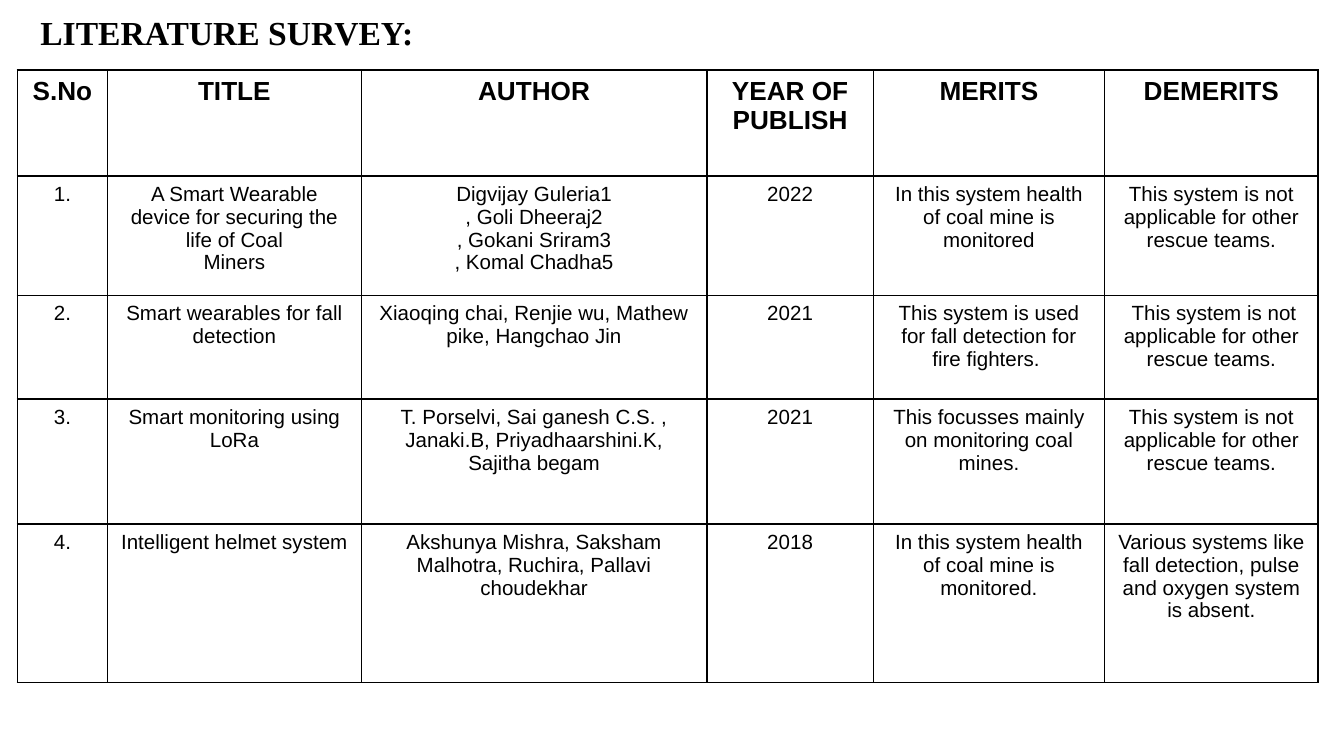
from dataclasses import dataclass

from lxml.etree import SubElement
from pptx import Presentation
from pptx.dml.color import RGBColor
from pptx.enum.text import MSO_ANCHOR as Anchor, MSO_AUTO_SIZE as AutoSize, PP_ALIGN as Align
from pptx.oxml.ns import qn
from pptx.util import Inches, Pt


@dataclass(frozen=True)
class Theme:
    ink: RGBColor = RGBColor(0, 0, 0)
    paper: RGBColor = RGBColor(255, 255, 255)
    title_font: str = "Times New Roman"
    table_font: str = "Arial"
    title_size: int = 18
    header_size: int = 14
    body_size: int = 11
    border: int = 1


THEME = Theme()
GRID_COLUMNS = 1000
SLIDE_WIDTH = Inches(10)
SLIDE_HEIGHT = SLIDE_WIDTH * 9 // 16
COLUMN_SPANS = [67, 189, 257, 124, 172, 159]
ROW_SPANS = [79, 89, 77, 93, 118]
NOT_APPLICABLE = "This system is not applicable for other rescue teams."
SURVEY = [
    ["S.No", "TITLE", "AUTHOR", "YEAR OF PUBLISH", "MERITS", "DEMERITS"],
    [
        "1.",
        "A Smart Wearable device for securing the life of Coal\nMiners",
        "Digvijay Guleria1\n, Goli Dheeraj2\n, Gokani Sriram3\n, Komal Chadha5",
        "2022",
        "In this system health of coal mine is monitored",
        NOT_APPLICABLE,
    ],
    [
        "2.",
        "Smart wearables for fall detection",
        "Xiaoqing chai, Renjie wu, Mathew pike, Hangchao Jin",
        "2021",
        "This system is used for fall detection for fire fighters. ",
        " " + NOT_APPLICABLE,
    ],
    [
        "3.",
        "Smart monitoring using LoRa",
        "T. Porselvi, Sai ganesh C.S. , Janaki.B, Priyadhaarshini.K, Sajitha begam",
        "2021",
        "This focusses mainly on monitoring coal mines.",
        NOT_APPLICABLE,
    ],
    [
        "4.",
        "Intelligent helmet system",
        "Akshunya Mishra, Saksham Malhotra, Ruchira, Pallavi choudekhar",
        "2018",
        "In this system health of coal mine is monitored.",
        "Various systems like fall detection, pulse and oxygen system is absent.",
    ],
]


def grid(units):
    return SLIDE_WIDTH * units // GRID_COLUMNS


def area(*units):
    return [grid(unit) for unit in units]


def apply(target, formats):
    for name, value in formats.items():
        setattr(target, name, value)


def write(frame, text, font, para_formats):
    frame.text = text
    for para in frame.paragraphs:
        apply(para, para_formats)
        for span in para.runs:
            apply(span.font, font)
            span.font.color.rgb = THEME.ink


def add_title(page, text):
    title = page.shapes.title
    apply(title, dict(zip(["left", "top", "width", "height"], area(20, 0, 862, 52))))
    frame = title.text_frame
    apply(frame, {"auto_size": AutoSize.NONE, "vertical_anchor": Anchor.MIDDLE, "word_wrap": True})
    font = {"name": THEME.title_font, "size": Pt(THEME.title_size), "bold": True}
    write(frame, text, font, {"alignment": Align.LEFT, "line_spacing": 0.9})


def add_borders(cell):
    properties = cell._tc.get_or_add_tcPr()
    for position, side in enumerate(["lnL", "lnR", "lnT", "lnB"]):
        line = SubElement(properties, qn(f"a:{side}"), w=str(Pt(THEME.border)))
        fill = SubElement(line, qn("a:solidFill"))
        SubElement(fill, qn("a:srgbClr"), val=str(THEME.ink))
        properties.insert(position, line)


def format_cell(cell, text, is_header):
    size = THEME.header_size if is_header else THEME.body_size
    font = {"name": THEME.table_font, "size": Pt(size), "bold": is_header}
    write(cell.text_frame, text, font, {"alignment": Align.CENTER})
    cell.fill.solid()
    cell.fill.fore_color.rgb = THEME.paper
    add_borders(cell)


def add_survey_table(page, records):
    place = area(13, 52, sum(COLUMN_SPANS), sum(ROW_SPANS))
    table = page.shapes.add_table(len(records), len(COLUMN_SPANS), *place).table
    for column, span in zip(table.columns, COLUMN_SPANS):
        column.width = grid(span)
    for row, span in zip(table.rows, ROW_SPANS):
        row.height = grid(span)
    for index, (row, record) in enumerate(zip(table.rows, records)):
        for cell, text in zip(row.cells, record):
            format_cell(cell, text, index == 0)


def main():
    deck = Presentation()
    apply(deck, {"slide_width": SLIDE_WIDTH, "slide_height": SLIDE_HEIGHT})
    page = deck.slides.add_slide(deck.slide_layouts.get_by_name("Title Only"))
    add_title(page, "LITERATURE SURVEY:")
    add_survey_table(page, SURVEY)
    deck.save("out.pptx")


if __name__ == "__main__":
    main()
